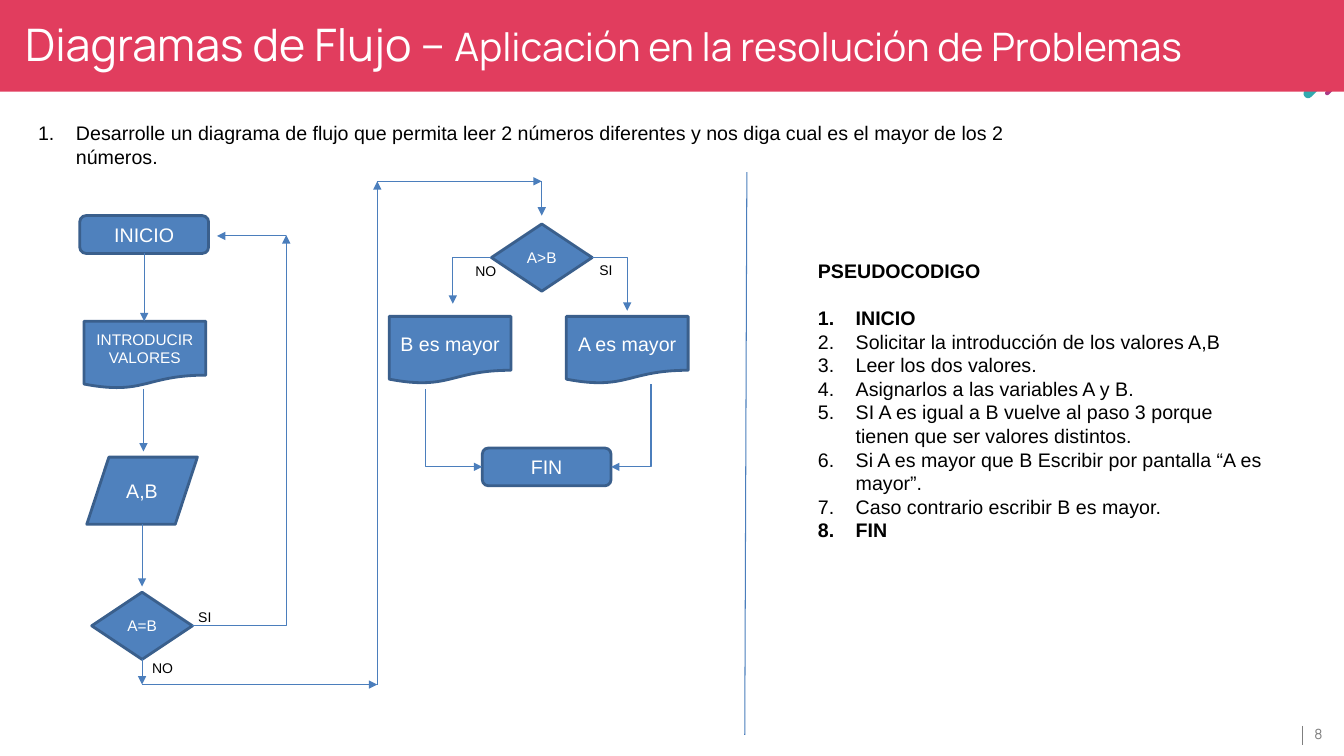
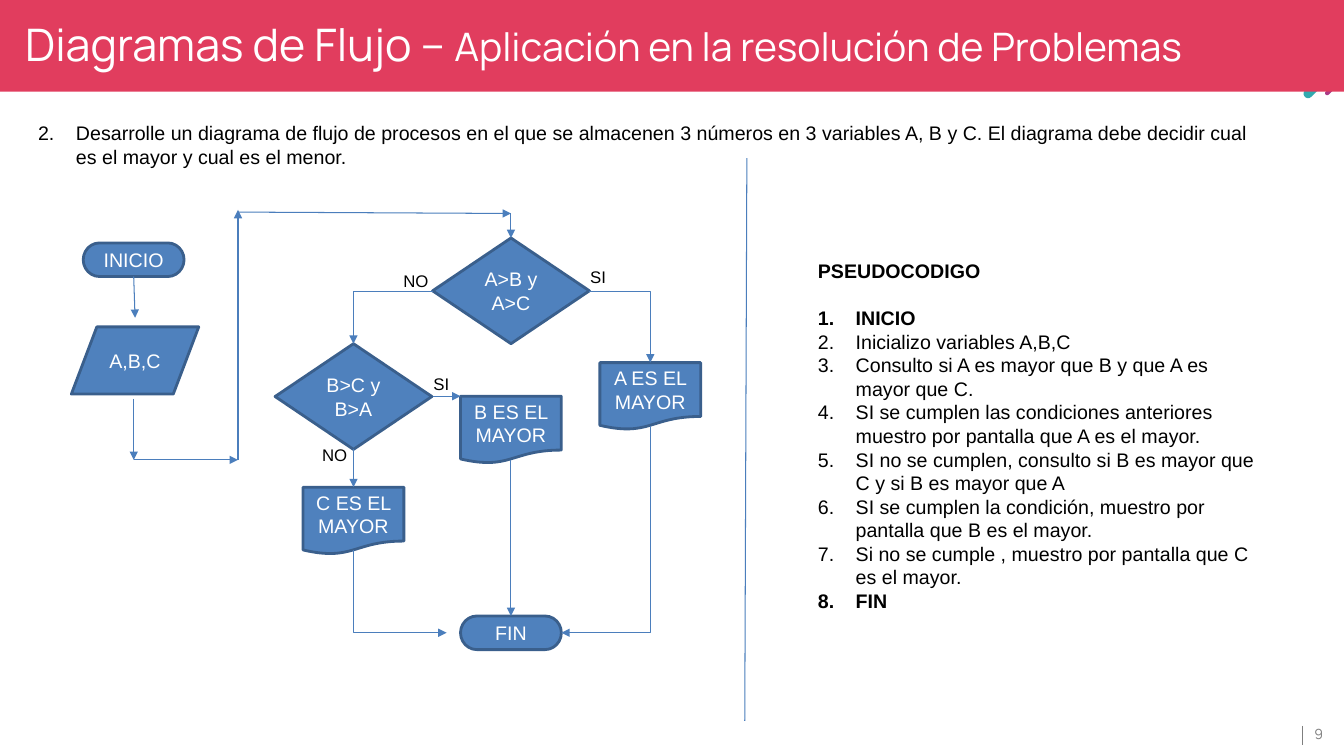
"""Build two slides that solve exercises with flowcharts and pseudocode."""
from dataclasses import dataclass
from typing import NamedTuple

import lxml.etree
import pptx
import pptx.dml.color
import pptx.enum.shapes
import pptx.enum.text
import pptx.oxml.ns
import pptx.util

Pt = pptx.util.Pt
qn = pptx.oxml.ns.qn
Shape = pptx.enum.shapes.MSO_SHAPE
Anchor = pptx.enum.text.MSO_ANCHOR
Align = pptx.enum.text.PP_ALIGN

COLORS = {
    "band": "E13D5E", "white": "FFFFFF", "black": "000000", "grey": "7F7F7F",
    "teal": "32AAAF", "purple": "AA3B86",
    "node": "4F81BD", "outline": "3A5F8C", "link": "4B7EBC",
}
BODY_FONT = "Arial"
TITLE_FONT = "Manrope"
TITLE_PARTS = (
    ("Diagramas de Flujo – ", 32),
    ("Aplicación en la resolución de Problemas", 28),
)
PSEUDOCODE_HEADING = "PSEUDOCODIGO"
Point = tuple[float, float]


class Node(NamedTuple):
    text: str
    kind: pptx.enum.shapes.MSO_SHAPE
    left: float
    top: float
    width: float
    height: float = 48
    size: float = 14


class Elbow(NamedTuple):
    start: Point
    end: Point
    vertical_first: bool = False


class Label(NamedTuple):
    text: str
    left: float
    top: float


@dataclass
class Exercise:
    page: int
    number: int
    question: str
    question_width: float
    steps: list[str]
    nodes: list[Node]
    routes: list[list[Point]]
    elbows: list[Elbow]
    labels: list[Label]
    label_size: float
    divider_top: float


EXERCISES = [
    Exercise(
        page=8,
        number=1,
        question="Desarrolle un diagrama de flujo que permita leer 2 números diferentes "
                 "y nos diga cual es el mayor de los 2 números.",
        question_width=742,
        steps=[
            "INICIO",
            "Solicitar la introducción de los valores A,B",
            "Leer los dos valores.",
            "Asignarlos a las variables A y B.",
            "SI A es igual a B vuelve al paso 3 porque tienen que ser valores distintos.",
            "Si A es mayor que B Escribir por pantalla “A es mayor”.",
            "Caso contrario escribir B es mayor.",
            "FIN",
        ],
        nodes=[
            Node("INICIO", Shape.ROUNDED_RECTANGLE, 57, 154, 92, 27),
            Node("FIN", Shape.ROUNDED_RECTANGLE, 344.5, 320, 92, 27),
            Node("INTRODUCIR VALORES", Shape.FLOWCHART_DOCUMENT, 60, 229.5, 87, size=11),
            Node("A,B", Shape.FLOWCHART_DATA, 62, 326.5, 79),
            Node("A=B", Shape.FLOWCHART_DECISION, 65.5, 423, 72, size=11),
            Node("A>B", Shape.FLOWCHART_DECISION, 351, 160, 72, size=11),
            Node("A es mayor", Shape.FLOWCHART_DOCUMENT, 404.5, 226, 87),
            Node("B es mayor", Shape.FLOWCHART_DOCUMENT, 278, 226, 87),
        ],
        routes=[
            [(103, 181), (103, 229.5)],
            [(102.5, 278), (102.5, 322.5)],
            [(101.5, 374.5), (101.5, 419)],
            [(204.5, 168.5), (155, 168.5)],
            [(101.5, 471), (101.5, 489), (269.5, 489), (269.5, 129.5),
             (387, 129.5), (387, 154)],
        ],
        elbows=[
            Elbow((137.5, 447), (204.5, 168)),
            Elbow((423, 184), (448, 222)),
            Elbow((351, 184), (323.5, 217)),
            Elbow((465, 274.5), (436.5, 333.5), True),
            Elbow((304, 278), (344.5, 333.5), True),
        ],
        labels=[
            Label("SI", 134.5, 431), Label("SI", 421, 183),
            Label("NO", 332.5, 184), Label("NO", 101.5, 467.5),
        ],
        label_size=10,
        divider_top=123,
    ),
    Exercise(
        page=9,
        number=2,
        question="Desarrolle un diagrama de flujo de procesos en el que se almacenen 3 números "
                 "en 3 variables A, B y C. El diagrama debe decidir cual es el mayor y cual es "
                 "el menor.",
        question_width=893,
        steps=[
            "INICIO",
            "Inicializo variables A,B,C",
            "Consulto si A es mayor que B y que A es mayor que C.",
            "SI se cumplen las condiciones anteriores muestro por pantalla que A es el mayor.",
            "SI no se cumplen, consulto si B es mayor que C y si B es mayor que A",
            "SI se cumplen la condición, muestro por pantalla que B es el mayor.",
            "Si no se cumple , muestro por pantalla que C es el mayor.",
            "FIN",
        ],
        nodes=[
            Node("INICIO", Shape.FLOWCHART_TERMINATOR, 59.5, 173.5, 72, 24),
            Node("FIN", Shape.FLOWCHART_TERMINATOR, 329, 440, 72, 24),
            Node("A,B,C", Shape.FLOWCHART_DATA, 51, 233.5, 91),
            Node("A>B y A>C", Shape.FLOWCHART_DECISION, 309, 170, 112, 75.5),
            Node("B>C y B>A", Shape.FLOWCHART_DECISION, 196.5, 245.5, 112, 75.5),
            Node("A ES EL MAYOR", Shape.FLOWCHART_DOCUMENT, 428.5, 259, 72),
            Node("B ES EL MAYOR", Shape.FLOWCHART_DOCUMENT, 329, 283, 72),
            Node("C ES EL MAYOR", Shape.FLOWCHART_DOCUMENT, 216.5, 348, 72),
        ],
        routes=[
            [(95.5, 197.5), (96.5, 227)],
            [(95.5, 285), (95.5, 328.5), (170, 328.5), (170, 150)],
            [(170, 151.5), (365, 152.5), (365, 170)],
            [(309, 283), (329, 283)],
            [(252.5, 321), (252.5, 348)],
            [(365, 328.5), (365, 440)],
        ],
        elbows=[
            Elbow((421, 208), (464.5, 259)),
            Elbow((309, 208), (252.5, 245.5)),
            Elbow((252.5, 393), (319, 452), True),
            Elbow((464.5, 304), (401, 452), True),
        ],
        labels=[
            Label("SI", 414.5, 187), Label("NO", 281, 189.5),
            Label("SI", 302.5, 263.5), Label("NO", 223, 314),
        ],
        label_size=12,
        divider_top=113,
    ),
]


def rgb(name: str) -> pptx.dml.color.RGBColor:
    return pptx.dml.color.RGBColor.from_string(COLORS[name])


def format_runs(paragraph, size: float, color: str, font: str = BODY_FONT,
                bold: bool = False) -> None:
    for run in paragraph.runs:
        run.font.size = Pt(size)
        run.font.name = font
        run.font.bold = bold
        run.font.color.rgb = rgb(color)


def place(shape, left: float, top: float, width: float, height: float) -> None:
    shape.left, shape.top = Pt(left), Pt(top)
    shape.width, shape.height = Pt(width), Pt(height)


def add_line(slide, start: Point, end: Point, color: str = "link", width: float = 0.75,
             arrow: str = "", elbow: bool = False) -> None:
    kind = pptx.enum.shapes.MSO_CONNECTOR
    connector = slide.shapes.add_connector(
        kind.ELBOW if elbow else kind.STRAIGHT, *(Pt(value) for value in start + end))
    connector.line.color.rgb = rgb(color)
    connector.line.width = Pt(width)
    properties = connector._element.spPr
    if elbow:
        properties.find(qn("a:prstGeom")).set("prst", "bentConnector2")
    if arrow:
        lxml.etree.SubElement(properties.find(qn("a:ln")), qn(f"a:{arrow}"), type="triangle")
    lxml.etree.SubElement(properties, qn("a:effectLst"))


def add_elbow(slide, elbow: Elbow) -> None:
    if elbow.vertical_first:
        add_line(slide, elbow.end, elbow.start, arrow="headEnd", elbow=True)
    else:
        add_line(slide, elbow.start, elbow.end, arrow="tailEnd", elbow=True)


def add_node(slide, node: Node) -> None:
    shape = slide.shapes.add_shape(
        node.kind, Pt(node.left), Pt(node.top), Pt(node.width), Pt(node.height))
    shape.shadow.inherit = False
    shape.fill.solid()
    shape.fill.fore_color.rgb = rgb("node")
    shape.line.color.rgb = rgb("outline")
    shape.line.width = Pt(2)
    frame = shape.text_frame
    frame.text = node.text
    frame.word_wrap = True
    frame.vertical_anchor = Anchor.MIDDLE
    frame.margin_left = frame.margin_right = Pt(3.6)
    frame.paragraphs[0].alignment = Align.CENTER
    format_runs(frame.paragraphs[0], node.size, "white")


def add_label(slide, label: Label, size: float) -> None:
    width = 14.4 + size * 0.75 * len(label.text)
    box = slide.shapes.add_textbox(Pt(label.left), Pt(label.top), Pt(width), Pt(size + 9))
    box.text_frame.text = label.text
    box.text_frame.word_wrap = False
    format_runs(box.text_frame.paragraphs[0], size, "black")


def set_numbering(paragraph, start: int = 0) -> None:
    paragraph.space_before = Pt(0)
    properties = paragraph._p.get_or_add_pPr()
    indent = Pt(27) if start else 0
    properties.set("marL", str(indent))
    properties.set("indent", str(-indent))
    if start:
        lxml.etree.SubElement(properties, qn("a:buAutoNum"), type="arabicPeriod",
                              startAt=str(start))
    else:
        lxml.etree.SubElement(properties, qn("a:buNone"))


def fill_body(body, lines: list[str]) -> None:
    frame = body.text_frame
    frame.text = "\n".join(lines)
    frame.word_wrap = True
    frame.auto_size = pptx.enum.text.MSO_AUTO_SIZE.NONE
    frame.vertical_anchor = Anchor.TOP


def add_frame(slide, page: int) -> None:
    for color, left, top, width, height in (
            ("teal", 944, 32.5, 6.5, 43), ("purple", 952.5, 50.5, 3, 20)):
        stroke = slide.shapes.add_shape(
            Shape.ROUND_2_SAME_RECTANGLE, Pt(left), Pt(top), Pt(width), Pt(height))
        stroke.adjustments[0] = 0.5
        stroke.rotation = 225
        stroke.shadow.inherit = False
        stroke.fill.solid()
        stroke.fill.fore_color.rgb = rgb(color)
        stroke.line.fill.background()
    title = slide.shapes.title
    slide.shapes._spTree.append(title._element)
    place(title, 0, 0, 960, 65.5)
    title.fill.solid()
    title.fill.fore_color.rgb = rgb("band")
    fill_body(title, [""])
    title.text_frame.margin_left = Pt(18)
    title.text_frame.margin_top = Pt(12.24)
    paragraph = title.text_frame.paragraphs[0]
    paragraph.alignment = Align.LEFT
    for text, size in TITLE_PARTS:
        run = paragraph.add_run()
        run.text = text
        run.font.size = Pt(size)
        run.font.name = TITLE_FONT
        run.font.color.rgb = rgb("white")
    add_line(slide, (930.25, 518.5), (930.25, 532), "grey", 1)
    box = slide.shapes.add_textbox(Pt(936), Pt(514), Pt(24), Pt(20))
    frame = box.text_frame
    frame.text = str(page)
    frame.vertical_anchor = Anchor.MIDDLE
    frame.margin_left = frame.margin_right = frame.margin_top = frame.margin_bottom = Pt(2.9)
    format_runs(frame.paragraphs[0], 10, "grey", TITLE_FONT)


def add_exercise(presentation, exercise: Exercise) -> None:
    slide = presentation.slides.add_slide(presentation.slide_layouts[3])
    add_frame(slide, exercise.page)
    question, pseudocode = slide.placeholders[1], slide.placeholders[2]
    place(question, 20, 83, exercise.question_width, 41)
    fill_body(question, [exercise.question])
    set_numbering(question.text_frame.paragraphs[0], exercise.number)
    format_runs(question.text_frame.paragraphs[0], 14, "black")
    place(pseudocode, 577, 181.5, 336, 262)
    fill_body(pseudocode, [PSEUDOCODE_HEADING, *exercise.steps])
    for paragraph in pseudocode.text_frame.paragraphs:
        is_heading = paragraph.text == PSEUDOCODE_HEADING
        paragraph.space_after = Pt(16.8 if is_heading else 0)
        set_numbering(paragraph, 0 if is_heading else 1)
        is_bold = paragraph.text in (PSEUDOCODE_HEADING, "INICIO", "FIN")
        format_runs(paragraph, 14, "black", bold=is_bold)
    for node in exercise.nodes:
        add_node(slide, node)
    for route in exercise.routes:
        for start, end in zip(route, route[1:]):
            add_line(slide, start, end, arrow="tailEnd")
    for elbow in exercise.elbows:
        add_elbow(slide, elbow)
    for label in exercise.labels:
        add_label(slide, label, exercise.label_size)
    top = exercise.divider_top
    add_line(slide, (533.5, top), (532, top + 402))


def main() -> None:
    presentation = pptx.Presentation()
    presentation.slide_width, presentation.slide_height = Pt(960), Pt(540)
    for exercise in EXERCISES:
        add_exercise(presentation, exercise)
    presentation.save("out.pptx")


if __name__ == "__main__":
    main()
